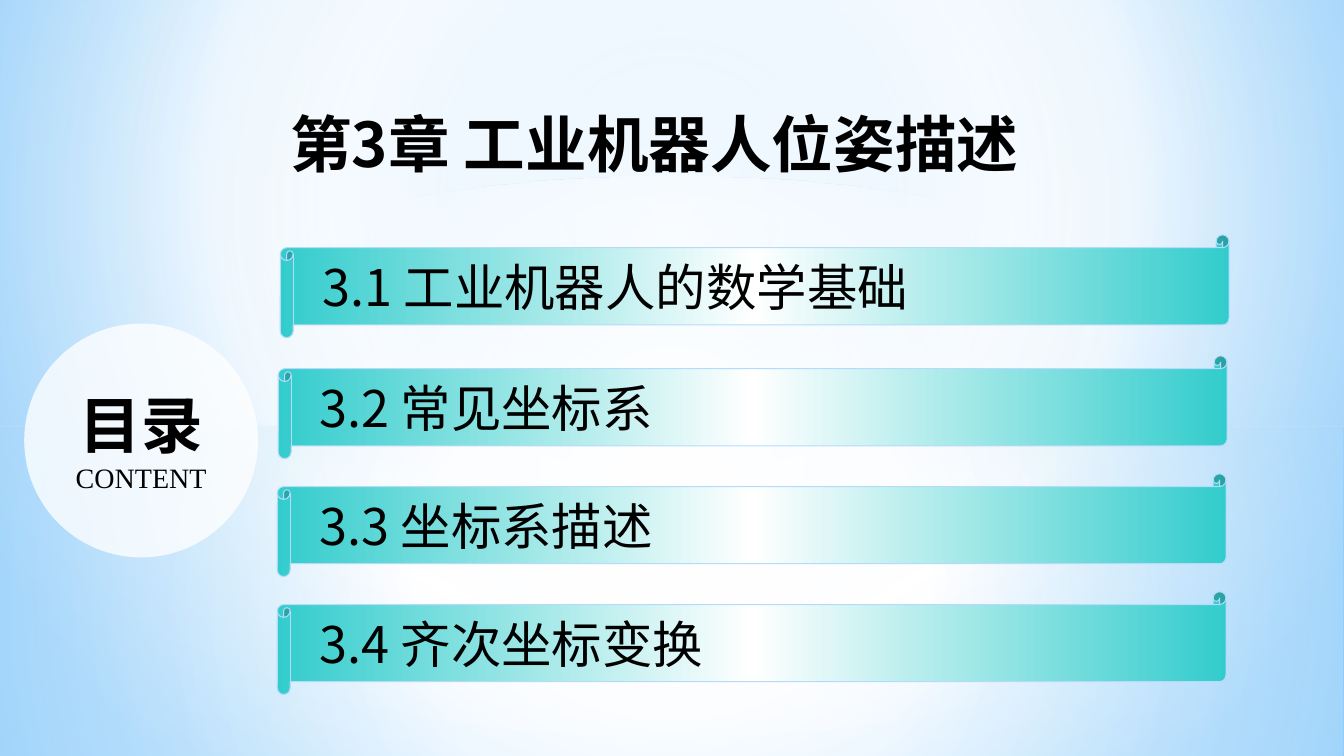
from lxml import etree
from pptx import Presentation
from pptx import util as u
from pptx.dml.color import RGBColor
from pptx.enum import shapes, text
from pptx.oxml import ns

SANS, SERIF = "Noto Sans CJK SC", "Times New Roman"
BLACK, WHITE, SKY, TEAL = "000000", "FFFFFF", "B4DCFA", "33CCCC"
CENTRE = (50, 50, 50, 50)
RECT, OVAL = shapes.MSO_SHAPE.RECTANGLE, shapes.MSO_SHAPE.OVAL
SCROLL = shapes.MSO_SHAPE.HORIZONTAL_SCROLL


def rgb(code):
    return RGBColor.from_string(code)


def add_node(parent, tag, **attributes):
    return etree.SubElement(parent, ns.qn(tag), attributes)


def set_gradient(holder, stops, angle=0, focus=None):
    """Swap the holder's solid fill for (position, colour, opacity) stops.

    A focus gives left, top, right and bottom percentages of a circular gradient.
    """
    solid = holder.find(ns.qn("a:solidFill"))
    gradient = etree.Element(ns.qn("a:gradFill"), rotWithShape="1")
    stop_list = add_node(gradient, "a:gsLst")
    for position, code, opacity in stops:
        stop = add_node(stop_list, "a:gs", pos=str(position * 1000))
        colour = add_node(stop, "a:srgbClr", val=code)
        if opacity < 100:
            add_node(colour, "a:alpha", val=str(opacity * 1000))
    if focus:
        circle = add_node(gradient, "a:path", path="circle")
        sides = {side: str(p * 1000) for side, p in zip("ltrb", focus)}
        add_node(circle, "a:fillToRect", **sides)
    else:
        add_node(gradient, "a:lin", ang=str(angle * 60000), scaled="0")
    holder.replace(solid, gradient)


class Deck:
    def __init__(self):
        self.prs = Presentation()
        self.prs.slide_width = u.Inches(13.33)
        self.prs.slide_height = u.Inches(7.5)
        self.slide = self.prs.slides.add_slide(self.prs.slide_layouts[6])

    def background(self, stops, focus):
        self.slide.background.fill.solid()
        holder = self.slide.element.find(".//" + ns.qn("p:bgPr"))
        set_gradient(holder, stops, focus=focus)

    def shape(self, kind, box, parent=None, line=None, opacity=100, **gradient):
        """Add a preset shape, white unless gradient settings are given."""
        item = (parent or self.slide).shapes.add_shape(kind, *map(u.Inches, box))
        item.shadow.inherit = False
        item.fill.solid()
        item.fill.fore_color.rgb = rgb(WHITE)
        holder = item.element.spPr
        if gradient:
            set_gradient(holder, **gradient)
        elif opacity < 100:
            colour = holder.find(ns.qn("a:solidFill"))[0]
            add_node(colour, "a:alpha", val=str(opacity * 1000))
        if line:
            item.line.color.rgb = rgb(line)
            item.line.width = u.Pt(0.75)
        else:
            item.line.fill.background()
        return item

    def run(self, paragraph, words, size, font=SANS, bold=False):
        run = paragraph.add_run()
        run.text = words
        run.font.size = u.Pt(size)
        run.font.bold = bold
        run.font.color.rgb = rgb(BLACK)
        run.font.name = font
        add_node(run.font._element, "a:ea", typeface=font)

    def label(self, box, words, size, parent=None, bold=False):
        frame = (parent or self.slide).shapes.add_textbox(*map(u.Inches, box)).text_frame
        frame.word_wrap = True
        frame.auto_size = text.MSO_AUTO_SIZE.SHAPE_TO_FIT_TEXT
        self.run(frame.paragraphs[0], words, size, bold=bold)

    def section(self, left, top, text_left, text_width, words):
        """Add a scroll banner grouped with its section heading."""
        group = self.slide.shapes.add_group_shape()
        self.shape(SCROLL, (left, top, 9.41, 1.02), group, line=SKY,
                   stops=[(0, TEAL, 100), (50, WHITE, 100), (100, TEAL, 100)])
        self.label((text_left, top + 0.16, text_width, 0.71), words, 36, group)

    def badge(self, box, lines):
        frame = self.shape(OVAL, box, opacity=78).text_frame
        frame.vertical_anchor = text.MSO_ANCHOR.MIDDLE
        for index, line in enumerate(lines):
            paragraph = frame.add_paragraph() if index else frame.paragraphs[0]
            paragraph.alignment = text.PP_ALIGN.CENTER
            self.run(paragraph, *line)


def main():
    deck = Deck()
    deck.background([(0, "9ED5FF", 100), (60, WHITE, 100), (100, "5BB9FF", 100)],
                    (20, 10, 20, 60))
    deck.shape(RECT, (0, 4.23, 13.33, 3.27), focus=CENTRE,
               stops=[(0, WHITE, 91), (37, WHITE, 76), (100, SKY, 79)])
    deck.shape(RECT, (0, 0, 13.33, 4.23), focus=CENTRE,
               stops=[(0, WHITE, 89), (48, WHITE, 62), (100, SKY, 79)])
    deck.shape(RECT, (0, 2.9, 13.33, 2.5), angle=90,
               stops=[(0, WHITE, 0), (29, WHITE, 30), (45, SKY, 40),
                      (55, WHITE, 26), (65, SKY, 60), (100, WHITE, 0)])
    deck.shape(OVAL, (0, 1.75, 13.33, 5.58), focus=CENTRE,
               stops=[(0, WHITE, 100), (54, WHITE, 0)])

    deck.label((2.78, 1, 8.22, 0.84), "第3章 工业机器人位姿描述", 44, bold=True)
    for section in [
        (2.78, 2.33, 3.1, 7.93, "3.1 工业机器人的数学基础"),
        (2.76, 3.53, 3.07, 8.79, "3.2 常见坐标系"),
        (2.75, 4.7, 3.07, 8.46, "3.3 坐标系描述"),
        (2.75, 5.87, 3.07, 8.46, "3.4 齐次坐标变换"),
    ]:
        deck.section(*section)
    deck.badge((0.24, 3.21, 2.32, 2.32),
               [("目录", 44, SANS, True), ("CONTENT", 20, SERIF)])
    deck.prs.save("out.pptx")


if __name__ == "__main__":
    main()
